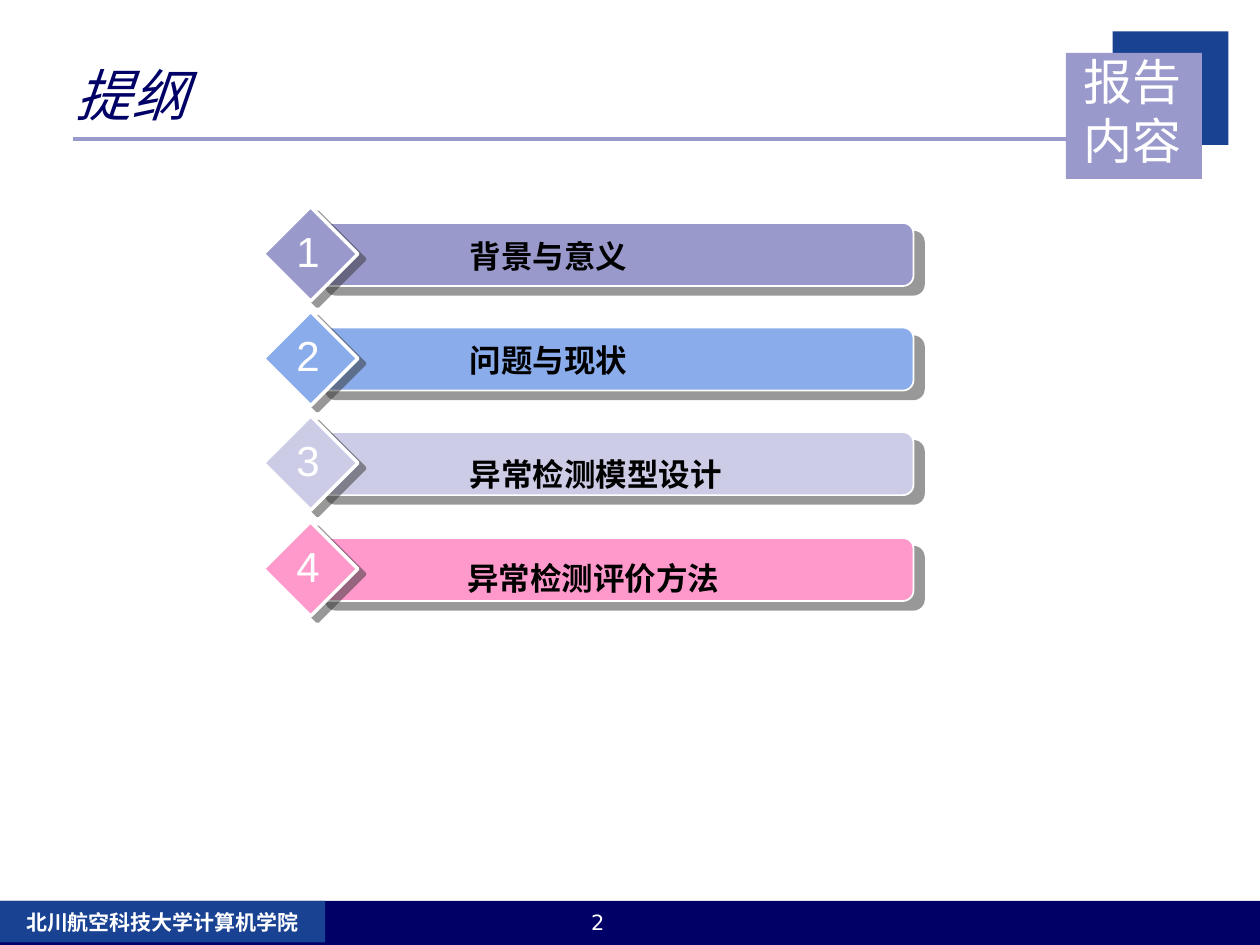
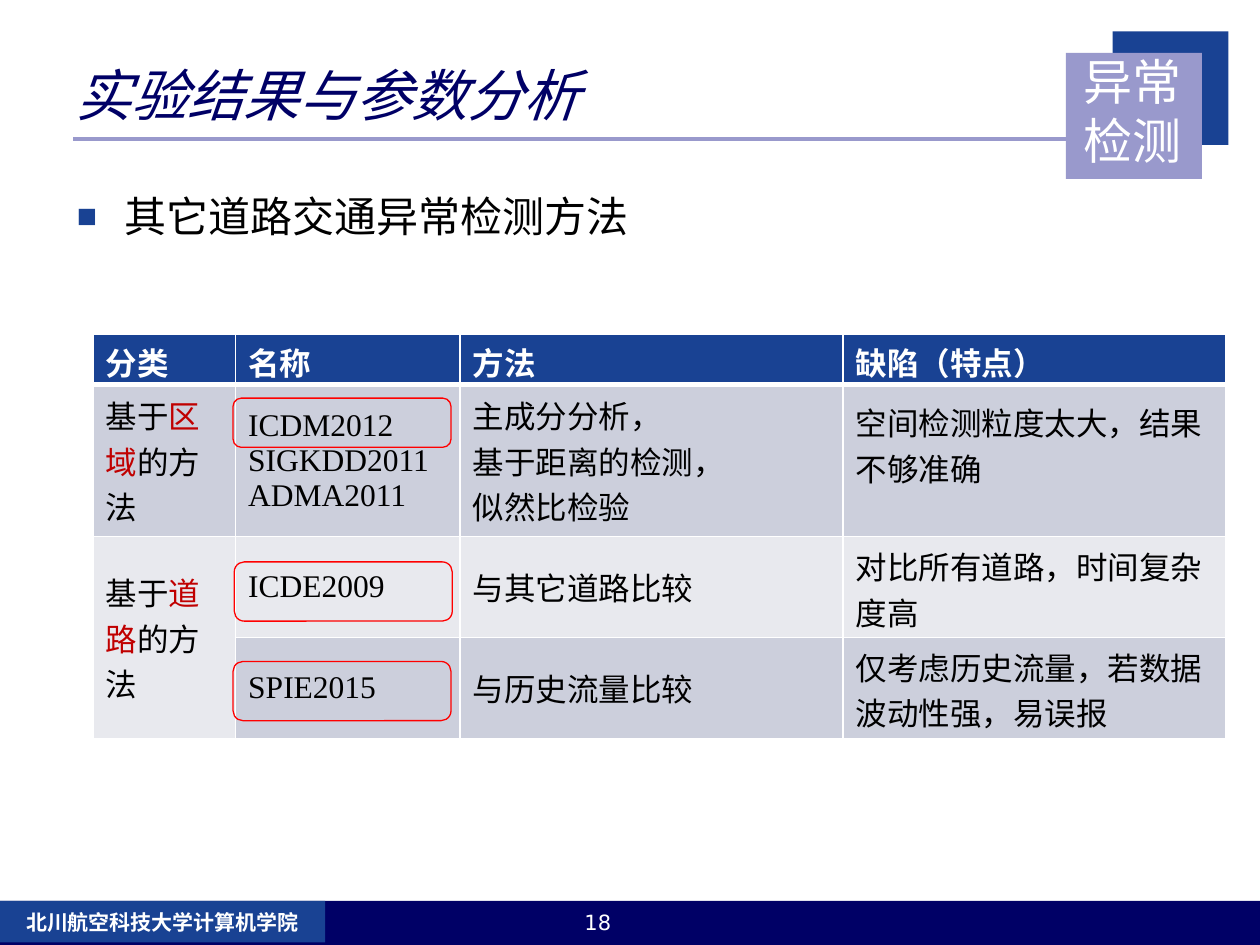
from dataclasses import dataclass

from lxml import etree
from pptx import Presentation
from pptx import util as u
from pptx.dml.color import RGBColor
from pptx.enum import shapes, text
from pptx.oxml.ns import qn

PX = 9144  # EMU per px, 100 px to the inch
SHAPE = shapes.MSO_SHAPE
ALIGN = text.PP_ALIGN
SCHOOL = "北川航空科技大学计算机学院"


@dataclass(frozen=True)
class Theme:
    navy: str = "000066"
    blue: str = "194293"
    lilac: str = "9999CC"
    sky: str = "8BACEB"
    mist: str = "CCCCE6"
    pink: str = "FF99CC"
    white: str = "FFFFFF"
    black: str = "000000"
    shade: str = "333333"
    row_dark: str = "CCCFDC"
    row_light: str = "E8E9EE"
    accent: str = "C00000"
    ring: str = "FF0000"
    title_size: float = 32
    badge_size: float = 28
    body_size: float = 24
    label_size: float = 18
    footer_size: float = 12
    sans: str = "Arial"
    serif: str = "Times New Roman"
    display: str = "Montserrat"
    chinese: str = "Noto Sans CJK SC"
    number: str = "DejaVu Sans"


THEME = Theme()


def px(*lengths):
    return [u.Emu(length * PX) for length in lengths]


def sub(parent, tag, **attributes):
    return etree.SubElement(parent, qn(tag), **attributes)


def rgb(value):
    return RGBColor.from_string(value)


class Deck:
    """Holds the theme, the presentation and the slide being drawn."""

    def __init__(self, theme):
        self.theme = theme
        self.prs = Presentation()
        self.prs.slide_width, self.prs.slide_height = px(1000, 750)
        self.slide = None

    def new_slide(self, layout, title, badge, number):
        t = self.theme
        self.slide = self.prs.slides.add_slide(self.prs.slide_layouts[layout])
        self.rule((58, 110), (850, 110))
        self.shape(SHAPE.RECTANGLE, (0, 715, 1000, 35), t.navy)
        self.shape(SHAPE.RECTANGLE, (883, 25, 92, 90), t.blue)
        self.shape(SHAPE.RECTANGLE, (846, 42, 108, 100), t.lilac)
        self.shape(SHAPE.RECTANGLE, (0, 715, 258, 33), t.blue)
        heading = self.placeholder(0, (50, 33, 792, 83), title)
        heading.vertical_anchor = text.MSO_ANCHOR.MIDDLE
        heading.paragraphs[0].alignment = ALIGN.LEFT
        self.style(heading.paragraphs[0], t.title_size, t.display, t.navy,
                   italic=True, chinese=t.chinese)
        self.text((0, 717, 258, 33), SCHOOL, t.footer_size, t.chinese, t.white,
                  bold=True, align=ALIGN.CENTER)
        self.text((358, 717, 233, 33), number, t.footer_size, t.number, t.white,
                  align=ALIGN.CENTER)
        self.text((850, 36, 131, 104), badge, t.badge_size, t.serif, t.white)

    def style(self, paragraph, size, font, colour, bold=False, italic=False,
              chinese=None):
        for run in paragraph.runs:
            run.font.size = u.Pt(size)
            run.font.name = font
            run.font.bold, run.font.italic = bold, italic
            run.font.color.rgb = rgb(colour)
            sub(run.font._element, "a:ea", typeface=chinese or self.theme.display)

    def placeholder(self, index, box, words):
        holder = self.slide.placeholders[index]
        holder.left, holder.top, holder.width, holder.height = px(*box)
        frame = holder.text_frame
        frame.text = words
        frame.auto_size = text.MSO_AUTO_SIZE.NONE
        return frame

    def bullet(self, box, words):
        t = self.theme
        point = self.placeholder(1, box, words).paragraphs[0]
        point.line_spacing = 1.2
        point.space_before = u.Pt(5)
        self.style(point, t.body_size, t.sans, t.black, chinese=t.chinese)
        props = point._p.get_or_add_pPr()
        indent = 38 * PX
        props.set("marL", str(indent))
        props.set("indent", str(-indent))
        sub(sub(props, "a:buClr"), "a:srgbClr", val=t.blue)
        sub(props, "a:buSzPct", val="80000")
        sub(props, "a:buChar", char="■")

    def text(self, box, words, size, font, colour, bold=False,
             align=ALIGN.LEFT, wrap=True):
        frame = self.slide.shapes.add_textbox(*px(*box)).text_frame
        frame.word_wrap = wrap
        frame.text = words
        frame.paragraphs[0].alignment = align
        self.style(frame.paragraphs[0], size, font, colour, bold)

    def rule(self, start, end):
        line = self.slide.shapes.add_connector(
            shapes.MSO_CONNECTOR.STRAIGHT, *px(*start, *end))
        line.line.color.rgb = rgb(self.theme.lilac)
        line.line.width = u.Pt(2.25)
        sub(line._element.spPr, "a:effectLst")

    def shape(self, kind, box, fill=None, line=None, width=1.0, shadow=None):
        """Draw a preset shape; shadow is (distance in points, angle)."""
        item = self.slide.shapes.add_shape(kind, *px(*box))
        if fill:
            item.fill.solid()
            item.fill.fore_color.rgb = rgb(fill)
        else:
            item.fill.background()
        if line:
            item.line.color.rgb = rgb(line)
            item.line.width = u.Pt(width)
        else:
            item.line.fill.background()
        item.shadow.inherit = False
        if shadow:
            distance, angle = shadow
            effects = item._element.spPr.find(qn("a:effectLst"))
            outer = sub(effects, "a:outerShdw", dist=str(u.Pt(distance)),
                        dir=str(angle * 60000), algn="ctr", rotWithShape="0")
            tone = sub(outer, "a:srgbClr", val=self.theme.shade)
            sub(tone, "a:alpha", val="50000")

    def agenda_item(self, number, top, label, label_box, colour):
        t = self.theme
        self.shape(SHAPE.ROUNDED_RECTANGLE, (250, top, 475, 50), colour,
                   t.white, 1, shadow=(7.8, 40))
        self.shape(SHAPE.DIAMOND, (209, top - 13, 75, 75), colour,
                   t.white, 2, shadow=(5, 37))
        self.text((225, top - 3, 39, 50), str(number), t.body_size, t.sans,
                  t.white, align=ALIGN.CENTER, wrap=False)
        self.text(label_box, label, t.label_size, t.sans, t.black, bold=True)

    def borders(self, cell, top=1.0, bottom=1.0):
        props = cell._tc.get_or_add_tcPr()
        sides = {"a:lnL": 1.0, "a:lnR": 1.0, "a:lnT": top, "a:lnB": bottom}
        for place, (tag, width) in enumerate(sides.items()):
            edge = etree.Element(qn(tag), w=str(u.Pt(width)))
            sub(sub(edge, "a:solidFill"), "a:srgbClr", val=self.theme.white)
            props.insert(place, edge)

    def cell(self, cell, words, fill, font, colour, bold=False):
        """Fill a cell; words between bars are set in the accent colour."""
        t = self.theme
        cell.fill.solid()
        cell.fill.fore_color.rgb = rgb(fill)
        cell.vertical_anchor = text.MSO_ANCHOR.MIDDLE
        cell.text_frame.text = words.replace("|", "")
        for paragraph, line in zip(cell.text_frame.paragraphs, words.split("\n")):
            parts = line.split("|")
            if len(parts) > 1:
                paragraph.text = parts[0]
                for part in parts[1:]:
                    paragraph.add_run().text = part
            self.style(paragraph, t.label_size, font, colour, bold,
                       chinese=t.chinese)
            for run in paragraph.runs[1::2]:
                run.font.color.rgb = rgb(t.accent)

    def table(self, corner, widths, heights, rows):
        t = self.theme
        grid = self.slide.shapes.add_table(
            len(rows), len(widths),
            *px(*corner, sum(widths), sum(heights))).table
        grid.horz_banding = False
        for column, width in zip(grid.columns, px(*widths)):
            column.width = width
        for row, height in zip(grid.rows, px(*heights)):
            row.height = height
        for r, row in enumerate(rows):
            for c, words in enumerate(row):
                cell = grid.cell(r, c)
                if r == 0:
                    self.cell(cell, words, t.blue, t.serif, t.white, bold=True)
                    cell.margin_top, cell.margin_bottom = px(4, 0)
                else:
                    fill = t.row_dark if r % 2 else t.row_light
                    font = t.serif if c == 1 else t.sans
                    self.cell(cell, words, fill, font, t.black)
                self.borders(cell, top=3 if r == 1 else 1,
                             bottom=3 if r == 0 else 1)
        return grid


def outline_slide(deck):
    t = deck.theme
    deck.new_slide(5, "提纲", "报告内容", "2")
    topics = [
        ("背景与意义", (363, 183, 146, 40), t.lilac),
        ("问题与现状", (363, 266, 146, 40), t.sky),
        ("异常检测模型设计", (363, 356, 224, 40), t.mist),
        ("异常检测评价方法", (361, 439, 224, 40), t.pink),
    ]
    for i, (topic, box, colour) in enumerate(topics):
        deck.agenda_item(i + 1, 177 + 250 * i // 3, topic, box, colour)


def methods_slide(deck):
    deck.new_slide(1, "实验结果与参数分析", "异常检测", "18")
    deck.bullet((51, 138, 900, 64), "其它道路交通异常检测方法")
    methods = deck.table((74, 265), (113, 178, 304, 304), (40, 121, 80, 80), [
        ("分类", "名称", "方法", "缺陷（特点）"),
        ("基于|区域|的方法", "ICDM2012\nSIGKDD2011\nADMA2011",
         "主成分分析，\n基于距离的检测，\n似然比检验",
         "空间检测粒度太大，结果不够准确"),
        ("基于|道路|的方法", "ICDE2009", "与其它道路比较",
         "对比所有道路，时间复杂度高"),
        ("", "SPIE2015", "与历史流量比较",
         "仅考虑历史流量，若数据波动性强，易误报"),
    ])
    methods.cell(2, 0).merge(methods.cell(3, 0))
    methods.cell(1, 3).margin_bottom = px(30)[0]
    for left, top, height in ((185, 316, 39), (186, 446, 47), (185, 525, 47)):
        deck.shape(SHAPE.ROUNDED_RECTANGLE, (left, top, 173, height),
                   line=deck.theme.ring, width=0.75)


def main():
    deck = Deck(THEME)
    outline_slide(deck)
    methods_slide(deck)
    deck.prs.save("out.pptx")


if __name__ == "__main__":
    main()
